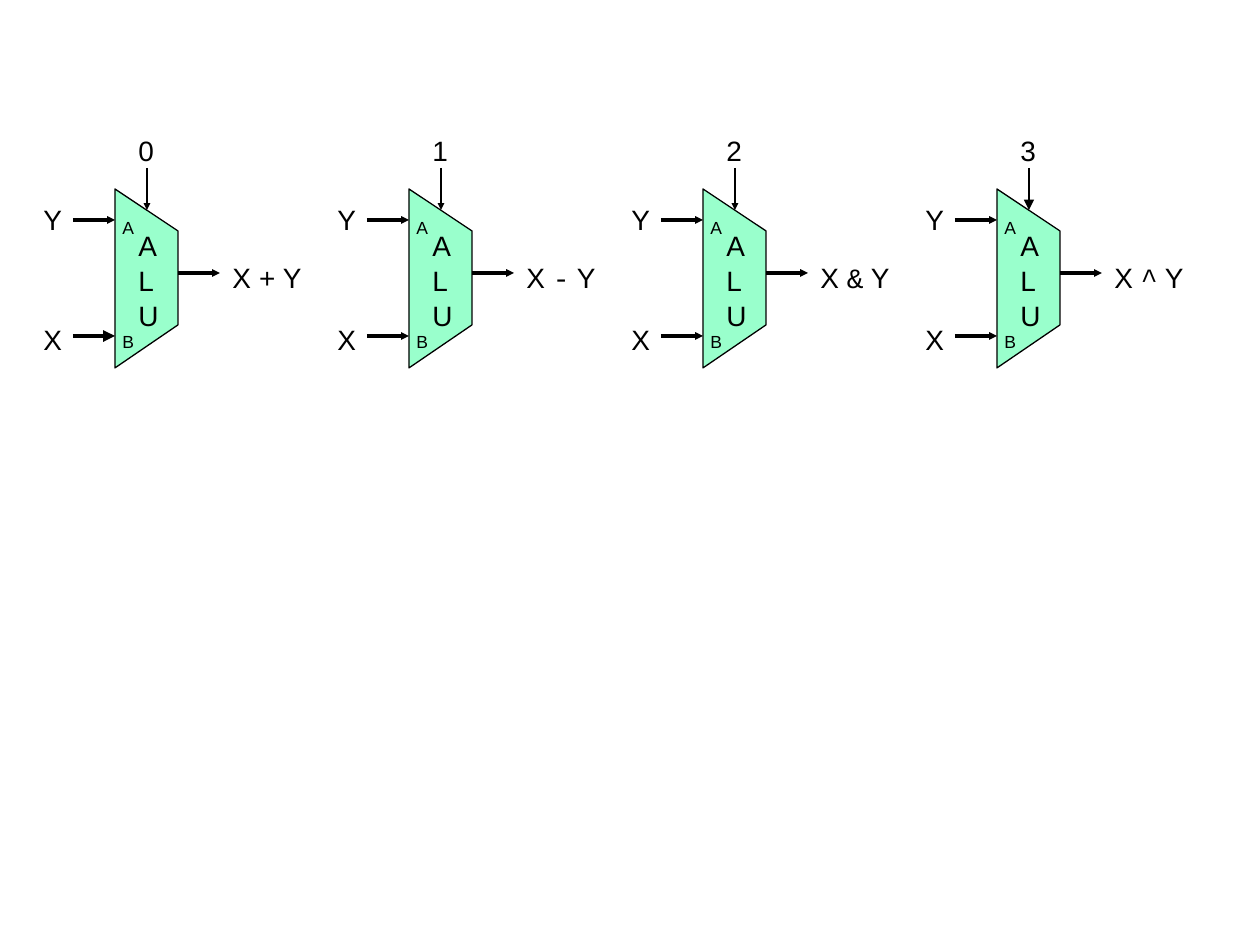
from lxml import etree
from pptx import Presentation
from pptx.dml.color import RGBColor
from pptx.enum.shapes import MSO_CONNECTOR
from pptx.enum.text import MSO_AUTO_SIZE
from pptx.oxml.ns import qn
from pptx.util import Pt

PX = 914400 / 126
STRAIGHT = MSO_CONNECTOR.STRAIGHT
FIT = MSO_AUTO_SIZE.SHAPE_TO_FIT_TEXT
SANS, MONO = "Arial", "Courier New"
INK, MINT = "000000", "99FFCC"
THIN, THICK = 0.75, 2.25
LEFT, TOP, PITCH = 31, 126, 294
OPS = ["+", "-", "&", "^"]


def emu(px):
    return round(px * PX)


def color(code):
    return RGBColor.from_string(code)


def label(group, x, y, w, h, lines, size=16, wrap=False):
    """Each line is a list of (text, font) runs."""
    box = group.shapes.add_textbox(emu(x), emu(y), emu(w), emu(h))
    frame = box.text_frame
    frame.word_wrap = wrap
    frame.auto_size = FIT
    for i, line in enumerate(lines):
        para = frame.add_paragraph() if i else frame.paragraphs[0]
        para.line_spacing = 1.04
        for text, face in line:
            run = para.add_run()
            run.text = text
            run.font.name = face
            run.font.size = Pt(size)
            run.font.color.rgb = color(INK)


def arrow(group, x1, y1, x2, y2, width, head="sm"):
    line = group.shapes.add_connector(
        STRAIGHT, emu(x1), emu(y1), emu(x2), emu(y2))
    line.line.color.rgb = color(INK)
    line.line.width = Pt(width)
    tip = etree.SubElement(line.line._get_or_add_ln(), qn("a:tailEnd"))
    for key, val in (("type", "triangle"), ("w", head), ("len", head)):
        tip.set(key, val)
    etree.SubElement(line._element.spPr, qn("a:effectLst"))


def body(group, x, y):
    """Draw the ALU trapezoid, its wide side on the left."""
    points = [(emu(x + dx), emu(y + dy))
              for dx, dy in ((0, 0), (63, 42), (63, 136), (0, 179))]
    pen = group.shapes.build_freeform(*points[0])
    pen.add_line_segments(points[1:], close=True)
    shape = pen.convert_to_shape()
    shape.shadow.inherit = False
    shape.fill.solid()
    shape.fill.fore_color.rgb = color(MINT)
    shape.line.color.rgb = color(INK)
    shape.line.width = Pt(THIN)


def unit(slide, x, y, code, op, pick="sm", feed="sm"):
    """Draw one ALU; pick and feed size the heads of the select and X arrows."""
    group = slide.shapes.add_group_shape()
    arrow(group, x + 42, y + 94, x + 84, y + 94, THICK)
    arrow(group, x + 116, y + 42, x + 116, y + 84, THIN, pick)
    body(group, x + 84, y + 63)
    label(group, x + 95, y + 95, 53, 113, [[(c, SANS)] for c in "ALU"], wrap=True)
    arrow(group, x + 42, y + 210, x + 84, y + 210, THICK, feed)
    arrow(group, x + 147, y + 147, x + 189, y + 147, THICK)
    label(group, x, y + 69, 44, 47, [[("Y", SANS)]])
    label(group, x, y + 189, 44, 47, [[("X", SANS)]])
    label(group, x + 189, y + 127, 94, 47,
          [[("X ", SANS), (op, MONO), (" Y", SANS)]])
    label(group, x + 95, y, 40, 47, [[(str(code), SANS)]])
    label(group, x + 79, y + 84, 37, 34, [[("A", SANS)]], 10)
    label(group, x + 79, y + 198, 37, 34, [[("B", SANS)]], 10)


def main():
    deck = Presentation()
    deck.slide_width, deck.slide_height = emu(1260), emu(945)
    slide = deck.slides.add_slide(deck.slide_layouts[6])
    last = len(OPS) - 1
    for code, op in enumerate(OPS):
        unit(slide, LEFT + code * PITCH, TOP, code, op,
             pick="med" if code == last else "sm",
             feed="med" if code == 0 else "sm")
    deck.save("out.pptx")


if __name__ == "__main__":
    main()
